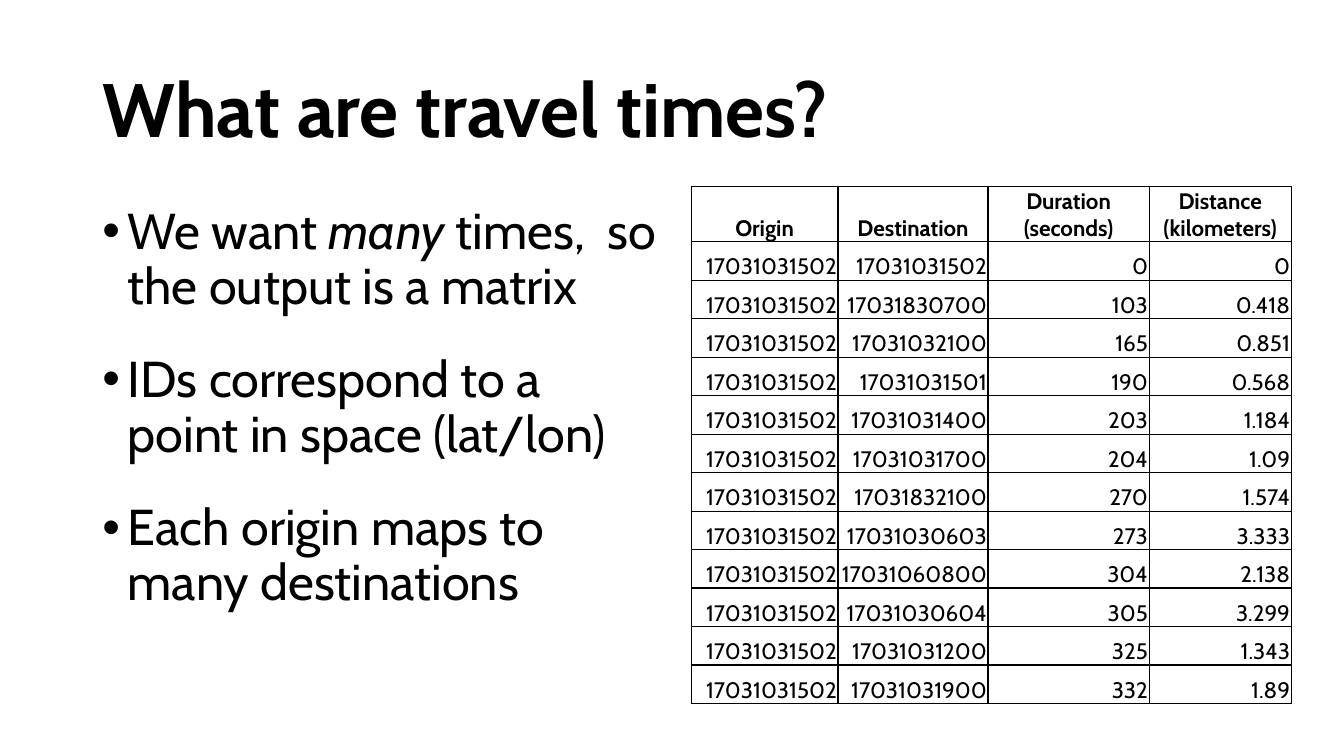
from lxml import etree
from pptx import Presentation
from pptx import util as u
from pptx.dml.color import RGBColor
from pptx.enum import text
from pptx.oxml import ns

BLACK = RGBColor(0x00, 0x00, 0x00)
WHITE = RGBColor(0xFF, 0xFF, 0xFF)
FONT = "Cabin"

ORIGIN = "17031031502"
HEADINGS = ["Origin", "Destination", "Duration (seconds)", "Distance (kilometers)"]
TRIPS = [
    ("17031031502", "0", "0"),
    ("17031830700", "103", "0.418"),
    ("17031032100", "165", "0.851"),
    ("17031031501", "190", "0.568"),
    ("17031031400", "203", "1.184"),
    ("17031031700", "204", "1.09"),
    ("17031832100", "270", "1.574"),
    ("17031030603", "273", "3.333"),
    ("17031060800", "304", "2.138"),
    ("17031030604", "305", "3.299"),
    ("17031031200", "325", "1.343"),
    ("17031031900", "332", "1.89"),
]
POINTS = [
    [("We want ", False), ("many ", True), ("times,  so the output is a matrix", False)],
    [("IDs correspond to a point in space (lat/lon)", False)],
    [("Each origin maps to many destinations", False)],
]


def write(paragraph, words, size, bold=False, italic=False, align=text.PP_ALIGN.LEFT):
    paragraph.alignment = align
    run = paragraph.add_run()
    run.text = words
    run.font.name = FONT
    run.font.size = u.Pt(size)
    run.font.bold = bold
    run.font.italic = italic
    run.font.color.rgb = BLACK


def add_element(parent, tag, **attributes):
    element = etree.SubElement(parent, ns.qn(tag))
    for name, value in attributes.items():
        element.set(name, str(value))
    return element


class SlideBuilder:
    line_spacing = 0.9
    border_width = u.Pt(1)

    def __init__(self, presentation):
        self.slide = presentation.slides.add_slide(presentation.slide_layouts[5])
        self.slide.background.fill.solid()
        self.slide.background.fill.fore_color.rgb = WHITE

    def title(self, words, left, top, width, height):
        shape = self.slide.shapes.title
        shape.left, shape.top = u.Cm(left), u.Cm(top)
        shape.width, shape.height = u.Cm(width), u.Cm(height)
        frame = shape.text_frame
        frame.auto_size = text.MSO_AUTO_SIZE.NONE
        frame.vertical_anchor = text.MSO_ANCHOR.MIDDLE
        paragraph = frame.paragraphs[0]
        paragraph.line_spacing = self.line_spacing
        write(paragraph, words, size=54, bold=True)

    def bullets(self, points, left, top, width, height):
        shape = self.slide.shapes.add_textbox(
            u.Cm(left), u.Cm(top), u.Cm(width), u.Cm(height))
        frame = shape.text_frame
        frame.word_wrap = True
        for index, pieces in enumerate(points):
            paragraph = frame.add_paragraph() if index else frame.paragraphs[0]
            properties = paragraph._p.get_or_add_pPr()
            properties.set("marL", str(u.Cm(0.64)))
            properties.set("indent", str(-u.Cm(0.64)))
            add_element(properties, "a:buFont", typeface="Arial")
            add_element(properties, "a:buChar", char="•")
            paragraph.line_spacing = self.line_spacing
            if index:
                paragraph.space_before = u.Pt(28)
            for words, italic in pieces:
                write(paragraph, words, size=36, italic=italic)

    def table(self, rows, left, top, widths, heights):
        frame = self.slide.shapes.add_table(
            len(rows), len(widths), u.Cm(left), u.Cm(top),
            u.Cm(sum(widths)), u.Cm(sum(heights)))
        table = frame.table
        table.horz_banding = False
        for column, width in zip(table.columns, widths):
            column.width = u.Cm(width)
        for row, height, values in zip(table.rows, heights, rows):
            row.height = u.Cm(height)
            for cell, value in zip(row.cells, values):
                self.cell(cell, value, heading=values is rows[0])

    def cell(self, cell, value, heading):
        cell.margin_left = cell.margin_right = cell.margin_top = u.Cm(0.03)
        cell.margin_bottom = 0
        cell.vertical_anchor = text.MSO_ANCHOR.BOTTOM
        properties = cell._tc.get_or_add_tcPr()
        for side in ("a:lnL", "a:lnR", "a:lnT", "a:lnB"):
            line = add_element(properties, side, w=self.border_width)
            add_element(add_element(line, "a:solidFill"), "a:srgbClr", val=BLACK)
        cell.fill.background()
        align = text.PP_ALIGN.CENTER if heading else text.PP_ALIGN.RIGHT
        write(cell.text_frame.paragraphs[0], value, size=16, bold=heading, align=align)


def main():
    presentation = Presentation()
    presentation.slide_width = u.Cm(33.87)
    presentation.slide_height = u.Cm(19.05)
    builder = SlideBuilder(presentation)
    builder.title("What are travel times?", 2.33, 1.01, 29.21, 3.68)
    builder.bullets(POINTS, 2.33, 5.07, 14.6, 12.09)
    rows = [HEADINGS] + [(ORIGIN, *trip) for trip in TRIPS]
    builder.table(rows, 17.42, 4.7, widths=[3.7, 3.78, 4.06, 3.58],
                  heights=[1.39] + [0.97] * len(TRIPS))
    presentation.save("out.pptx")


if __name__ == "__main__":
    main()
